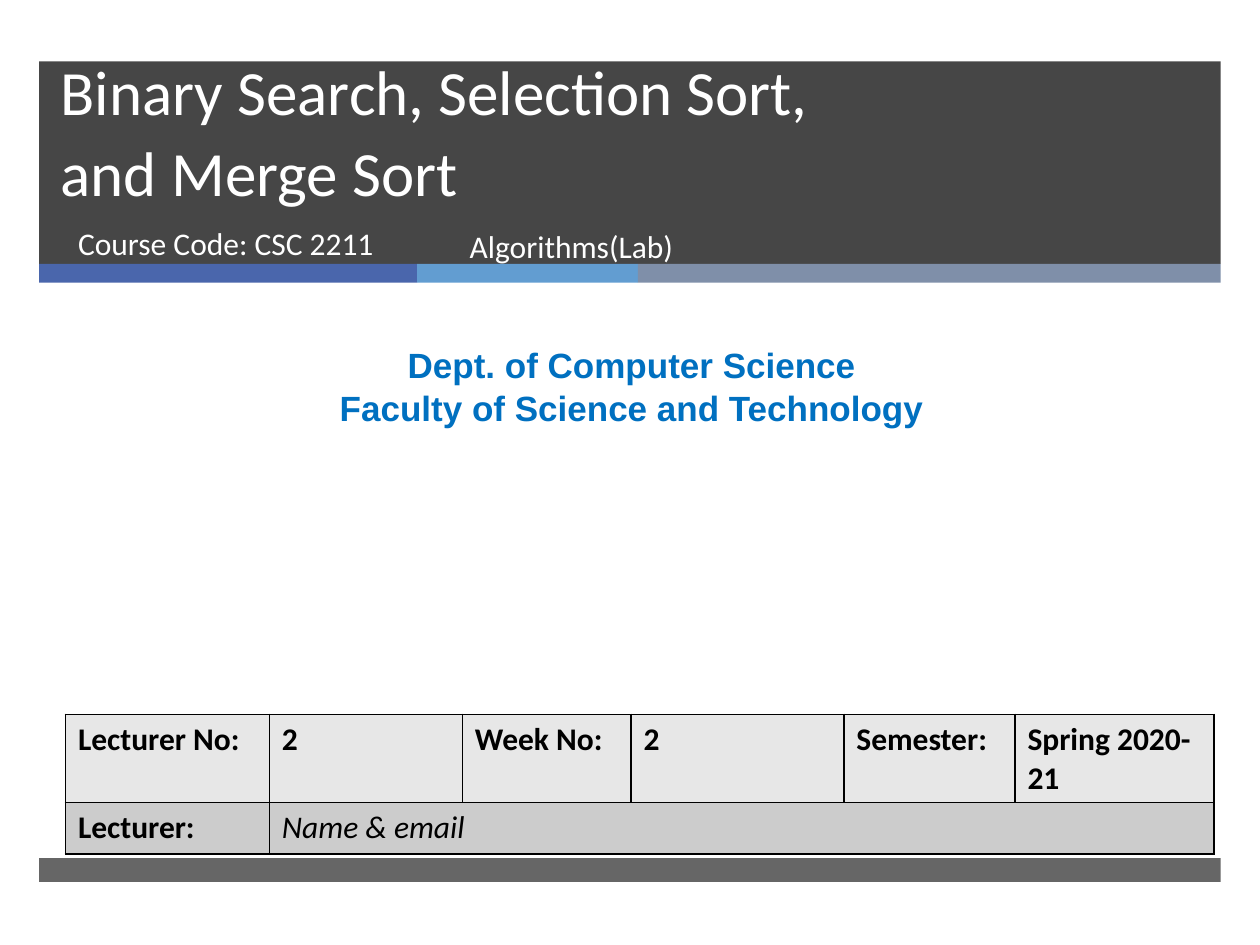
import pptx
import pptx.util
from lxml import etree
from pptx.dml.color import RGBColor
from pptx.enum.shapes import MSO_SHAPE
from pptx.enum.text import MSO_ANCHOR, PP_ALIGN
from pptx.oxml.ns import qn
from pptx.util import Cm, Pt

WHITE = RGBColor(0xFF, 0xFF, 0xFF)
BLACK = RGBColor(0x00, 0x00, 0x00)
CHARCOAL = RGBColor(0x26, 0x26, 0x26)
DEPT_BLUE = RGBColor(0x00, 0x70, 0xC0)
ROW_FILLS = (RGBColor(0xE7, 0xE7, 0xE7), RGBColor(0xCC, 0xCC, 0xCC))

TITLE = ["Binary Search, Selection Sort, ", "and Merge Sort"]
COURSE_CODE = "Course Code: CSC 2211"
COURSE_NAME = "Algorithms(Lab)"
DEPARTMENT = ["Dept. of Computer Science", "Faculty of Science and Technology"]
LECTURE_ROWS = [
    ["Lecturer No:", "2", "Week No:", "2", "Semester:", "Spring 2020-21"],
    ["Lecturer:", "Name & email"],
]
COLUMN_WIDTHS = [4.11, 3.89, 3.4, 4.29, 3.45, 4.01]
ROW_HEIGHTS = [1.78, 1.04]

BAND_LEFT, BAND_WIDTH = 0.79, 23.82
HEADER_TOP, HEADER_HEIGHT = 1.24, 4.08
STRIPE_HEIGHT = 0.38
FOOTER_TOP, FOOTER_HEIGHT = 17.3, 0.48
STRIPES = [
    (7.62, RGBColor(0x4A, 0x66, 0xAC)),
    (4.45, RGBColor(0x62, 0x9D, 0xD1)),
    (11.75, RGBColor(0x7F, 0x8F, 0xA9)),
]


def add_band(slide, left, top, width, height, color, opacity=100):
    band = slide.shapes.add_shape(
        MSO_SHAPE.RECTANGLE, Cm(left), Cm(top), Cm(width), Cm(height))
    band.shadow.inherit = False
    band.line.fill.background()
    band.fill.solid()
    band.fill.fore_color.rgb = color
    if opacity < 100:
        rgb = band.fill._xPr.find(qn("a:solidFill"))[0]
        etree.SubElement(rgb, qn("a:alpha"), val=str(opacity * 1000))
    return band


def place(shape, left, top, width, height):
    shape.left, shape.top = Cm(left), Cm(top)
    shape.width, shape.height = Cm(width), Cm(height)


def add_text(paragraph, text, size, color, font="Calibri", bold=False, italic=False):
    run = paragraph.add_run()
    run.text = text
    run.font.name, run.font.size = font, Pt(size)
    run.font.bold, run.font.italic = bold, italic
    run.font.color.rgb = color


def add_borders(cell):
    properties = cell._tc.get_or_add_tcPr()
    for position, side in enumerate(("lnL", "lnR", "lnT", "lnB")):
        border = etree.Element(qn("a:" + side), w=str(Pt(1)))
        fill = etree.SubElement(border, qn("a:solidFill"))
        etree.SubElement(fill, qn("a:srgbClr"), val=str(BLACK))
        properties.insert(position, border)


def add_bands(slide):
    """Draw the header, stripes and footer behind the placeholders."""
    bands = [add_band(slide, BAND_LEFT, HEADER_TOP, BAND_WIDTH, HEADER_HEIGHT,
                      CHARCOAL, 85)]
    left = BAND_LEFT
    for width, color in STRIPES:
        bands.append(add_band(slide, left, HEADER_TOP + HEADER_HEIGHT, width,
                              STRIPE_HEIGHT, color))
        left += width
    bands.append(add_band(slide, BAND_LEFT, FOOTER_TOP, BAND_WIDTH, FOOTER_HEIGHT,
                          CHARCOAL, 70))
    for position, band in enumerate(bands, start=2):
        slide.shapes._spTree.insert(position, band._element)


def add_headings(slide):
    title, course_code = slide.shapes.title, slide.placeholders[1]
    place(title, 0.97, 1.32, 22.38, 3.02)
    title.text_frame.vertical_anchor = MSO_ANCHOR.BOTTOM
    heading = title.text_frame.paragraphs[0]
    heading.alignment, heading.line_spacing = PP_ALIGN.LEFT, Pt(46)
    add_text(heading, TITLE[0], 36, WHITE)
    heading.add_line_break()
    add_text(heading, TITLE[1], 36, WHITE)

    place(course_code, 1.32, 4.39, 7.75, 1.35)
    code_line = course_code.text_frame.paragraphs[0]
    code_line.alignment, code_line.space_before = PP_ALIGN.LEFT, Pt(0)
    add_text(code_line, COURSE_CODE, 18, WHITE)


def add_text_box(slide, bounds, lines, alignment, size, color, **style):
    box = slide.shapes.add_textbox(*map(Cm, bounds))
    frame = box.text_frame
    frame.word_wrap = True
    for index, line in enumerate(lines):
        paragraph = frame.add_paragraph() if index else frame.paragraphs[0]
        paragraph.alignment = alignment
        add_text(paragraph, line, size, color, **style)


def add_lecture_table(slide):
    table = slide.shapes.add_table(
        len(LECTURE_ROWS), len(COLUMN_WIDTHS), Cm(1.32), Cm(14.4),
        Cm(sum(COLUMN_WIDTHS)), Cm(sum(ROW_HEIGHTS))).table
    for column, width in zip(table.columns, COLUMN_WIDTHS):
        column.width = Cm(width)
    for row, height in zip(table.rows, ROW_HEIGHTS):
        row.height = Cm(height)
    table.cell(1, 1).merge(table.cell(1, 5))
    for row, texts, fill in zip(table.rows, LECTURE_ROWS, ROW_FILLS):
        for cell in row.cells:
            cell.fill.solid()
            cell.fill.fore_color.rgb = fill
            add_borders(cell)
        for cell, text in zip(row.cells, texts):
            contact = cell.is_merge_origin
            add_text(cell.text_frame.paragraphs[0], text, 18, BLACK,
                     bold=not contact, italic=contact)


def main():
    deck = pptx.Presentation()
    deck.slide_width, deck.slide_height = Cm(25.4), Cm(19.05)
    slide = deck.slides.add_slide(deck.slide_layouts[0])
    add_bands(slide)
    add_headings(slide)
    add_text_box(slide, (0.2, 6.81, 25.07, 1.96), DEPARTMENT, PP_ALIGN.CENTER,
                 20, DEPT_BLUE, font="Arial", bold=True)
    add_lecture_table(slide)
    add_text_box(slide, (9.22, 4.45, 11.56, 1.35), [COURSE_NAME], PP_ALIGN.LEFT,
                 18, WHITE)
    deck.save("out.pptx")


if __name__ == "__main__":
    main()
